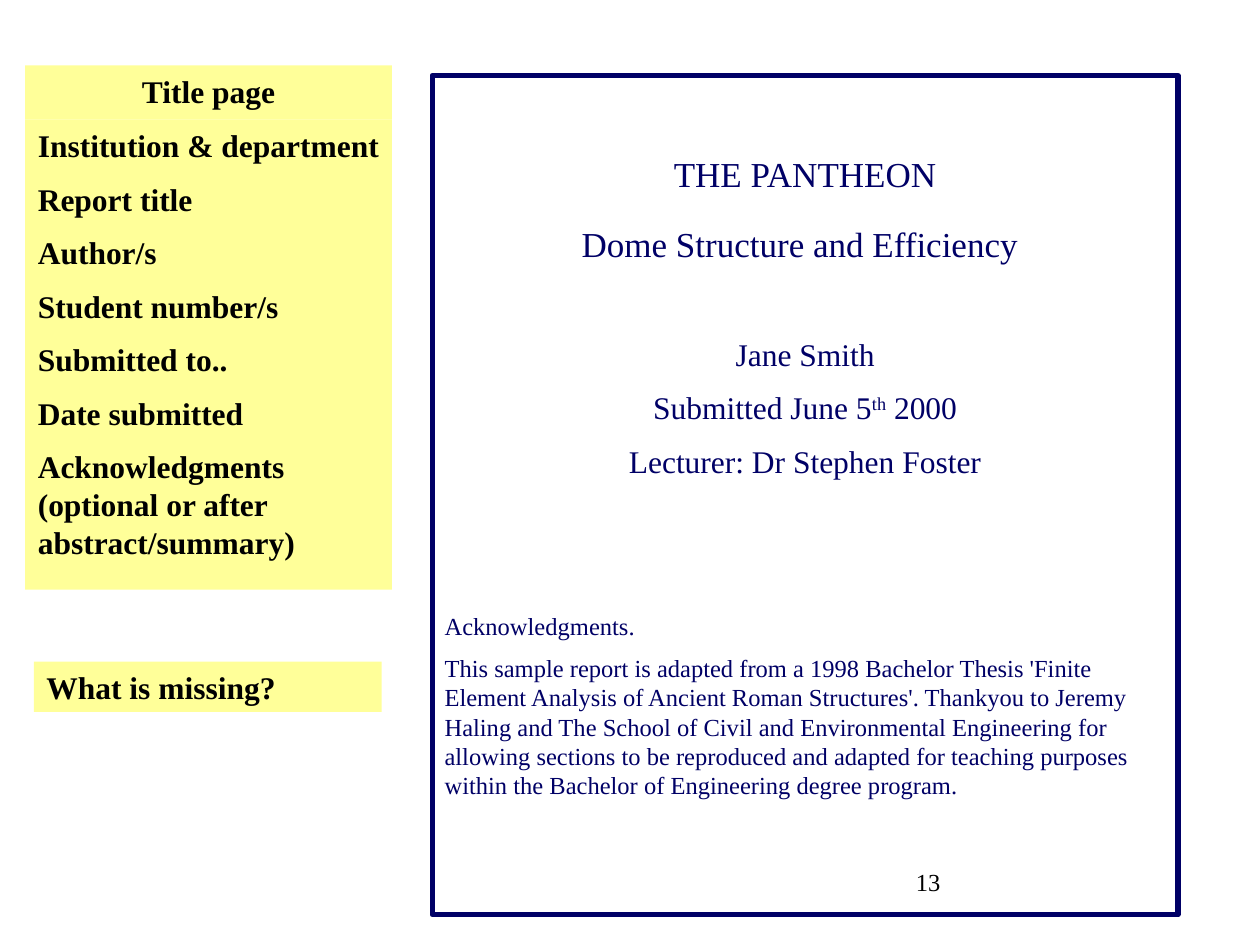
"""Build the report title page slide: a checklist beside a framed sample page."""
from pptx import Presentation, util as u
from pptx.dml import color
from pptx.enum import shapes, text as t
from pptx.oxml import xmlchemy as x
from pptx.oxml import parse_xml
from pptx.oxml.ns import nsdecls

LEFT, MID = t.PP_ALIGN.LEFT, t.PP_ALIGN.CENTER
NAVY, BLACK, CREAM = "000066", "000000", "FFFF99"


def paint(fill, hue):
    fill.solid()
    fill.fore_color.rgb = color.RGBColor.from_string(hue)


def write(box, *runs, size=18, hue=BLACK, bold=False, align=LEFT, gap=None):
    frame = box.text_frame
    para = frame.add_paragraph() if frame.text else frame.paragraphs[0]
    para.alignment = align
    para.space_before = u.Pt(size / 2 if gap is None else gap)
    props = para._p.get_or_add_pPr()
    props.set("marL", "0")
    props.set("indent", "0")
    props.append(parse_xml(f"<a:buNone {nsdecls('a')}/>"))
    for part in runs:
        words, own, lift = part if isinstance(part, tuple) else (part, size, 0)
        run = para.add_run()
        run.text = words
        run.font.name = "Times New Roman"
        run.font.size = u.Pt(own)
        run.font.bold = bold
        paint(run.font.fill, hue)
        if lift:
            run.font._rPr.set("baseline", str(lift * 1000))


deck = Presentation()
deck.slide_width, deck.slide_height = u.Inches(10), u.Inches(7.5)
col, row = deck.slide_width / 100, deck.slide_height / 100
slide = deck.slides.add_slide(deck.slide_layouts[1])
rect = shapes.MSO_SHAPE.RECTANGLE

page = slide.shapes.add_shape(rect, 0, 0, 0, 0)
head = slide.shapes.title
items = slide.placeholders[1]
ask = slide.shapes.add_shape(rect, 0, 0, 0, 0)
num = slide.shapes.add_textbox(0, 0, 0, 0)

for box, left, top, wide, high, fill, inset in (
    (page, 34.3, 8, 59.2, 88.8, None, 0.61),
    (head, 2, 6.93, 29.1, 5.74, CREAM, 0.05),
    (items, 2, 12.67, 29.1, 49.73, CREAM, 0.05),
    (ask, 2.7, 70, 27.6, 5.33, CREAM, 0.05),
    (num, 71.7, 91.07, 20.8, 6.67, None, 0.05),
):
    box.left, box.top = round(left * col), round(top * row)
    box.width, box.height = round(wide * col), round(high * row)
    box.shadow.inherit = False
    if fill:
        paint(box.fill, fill)
    else:
        box.fill.background()
    box.line.fill.background()
    frame = box.text_frame
    frame.word_wrap = True
    frame.auto_size = t.MSO_AUTO_SIZE.NONE
    frame.vertical_anchor = t.MSO_ANCHOR.TOP
    frame.margin_left, frame.margin_right = u.Inches(0.1), u.Inches(0.05)
    frame.margin_top = u.Inches(inset)
page.text_frame.margin_right = head.text_frame.margin_right = u.Inches(0.1)

paint(page.line.fill, NAVY)
page.line.width = u.Pt(3)
for runs, size, align, gap in (
    (["THE PANTHEON"], 20, MID, 0),
    (["Dome Structure and Efficiency", (" ", 24, 0)], 20, MID, 12),
    (["Jane Smith"], 18, MID, 39.5),
    (["Submitted June 5", ("th", 18, 30), " 2000"], 18, MID, 9),
    (["Lecturer: Dr Stephen Foster"], 18, MID, 9),
    (["Acknowledgments."], 14, LEFT, 75),
    (["This sample report is adapted from a 1998 Bachelor Thesis 'Finite "
      "Element Analysis of Ancient Roman Structures'. Thankyou to Jeremy "
      "Haling and The School of Civil and Environmental Engineering for "
      "allowing sections to be reproduced and adapted for teaching purposes "
      "within the Bachelor of Engineering degree program."], 14, LEFT, 7),
):
    write(page, *runs, size=size, hue=NAVY, align=align, gap=gap)

write(head, "Title page", bold=True, align=MID, gap=0)
for item in (
    "Institution & department",
    "Report title",
    "Author/s",
    "Student number/s",
    "Submitted to..",
    "Date submitted",
    "Acknowledgments (optional or after abstract/summary)",
):
    write(items, item, bold=True)
write(ask, "What is missing?", bold=True)
write(num, "13", size=14)

deck.save("out.pptx")
